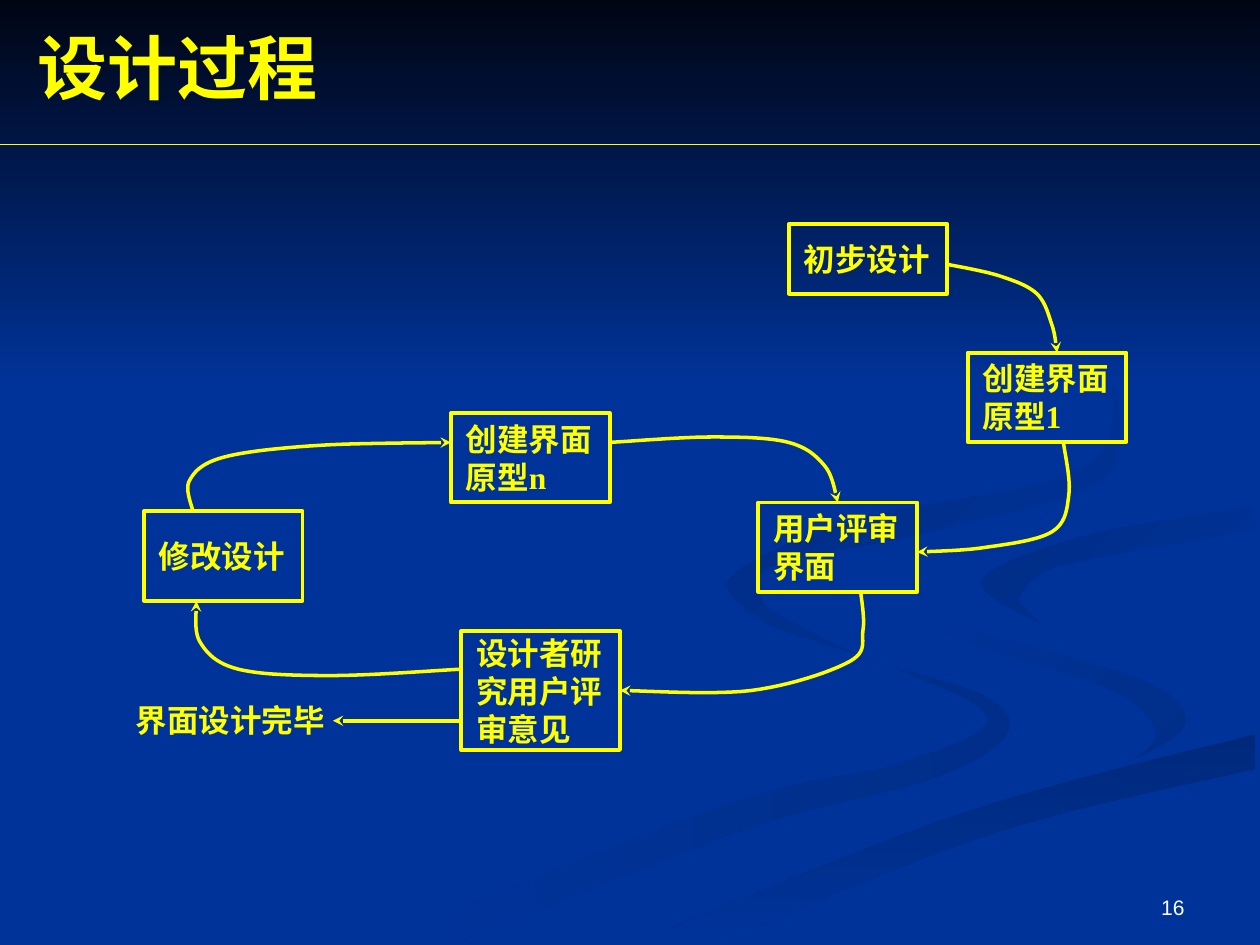
"""Build the slide that shows the interface design process as a cycle."""
from lxml.etree import SubElement
from pptx import Presentation
from pptx.dml.color import RGBColor
from pptx.enum.shapes import MSO_CONNECTOR, MSO_SHAPE
from pptx.enum.text import MSO_ANCHOR, PP_ALIGN
from pptx.oxml.ns import qn
from pptx.util import Cm, Pt

COLORS = {
    "blue": "003399", "night": "000514", "yellow": "FFFF00", "white": "FFFFFF",
    "shade": "002E8A", "deep": "00297C", "bend": "002C85", "sweep": "002B81",
}
RGB = {name: RGBColor.from_string(value) for name, value in COLORS.items()}

SWOOSHES = [
    ("shade", "blue", 180,
     [(7.6, 19), (14.7, 16.2), (18.1, 15.4), (19.9, 14.5), (18.1, 13.5), (15.3, 12.5), (14.6, 11.7)],
     [(14.6, 11.8), (17.3, 13.2), (19.8, 14), (20.3, 14.8), (18.8, 15.7), (15.1, 16.7), (9.2, 19)]),
    ("shade", "blue", 225,
     [(18.4, 11.8), (19.2, 12.8), (22.4, 13.9), (23.3, 14.8), (22.7, 15.4)],
     [(22.7, 15.4), (23.9, 14.6), (23, 13.7), (19.3, 12.6), (18.4, 11.8)]),
    ("deep", "blue", 90,
     [(25.3, 14.8), (19.4, 16.4), (12.8, 19)],
     [(14.5, 19), (20, 16.8), (25.3, 15.5)]),
    ("blue", "bend", 225,
     [(25.3, 10.2), (21.9, 10.8), (19.8, 11.7), (21, 12.6)],
     [(20.5, 12.1), (21.4, 11.4), (25.3, 10.7)]),
    ("blue", "sweep", 225,
     [(22.4, 7.3), (22.3, 9.6), (18.8, 10.7), (15.4, 11.5), (15.8, 12.7)],
     [(15.8, 12.7), (14.7, 11.7), (17.2, 10.5), (21.9, 9.4), (22.4, 7.3)]),
]

STEPS = [
    ("创建界面原型n", 9.09, 8.33, 1.8),
    ("设计者研究用户评审意见", 9.3, 12.73, 2.39),
    ("创建界面原型1", 19.51, 7.11, 1.8),
    ("初步设计", 15.9, 4.52, 1.4),
    ("用户评审界面", 15.29, 10.13, 1.8),
    ("修改设计", 2.9, 10.31, 1.8),
]

CURVES = [
    [(19.1, 5.33), (20.14, 5.56), (20.9, 5.92), (21.21, 6.56), (21.31, 7.11)],
    [(21.44, 8.92), (21.55, 9.96), (21.21, 10.72), (19.84, 11.04), (18.49, 11.13)],
    [(17.35, 11.91), (17.4, 12.69), (17.12, 13.34), (15.14, 13.92), (12.5, 13.92)],
    [(9.3, 13.49), (6.7, 13.62), (4.8, 13.49), (4.03, 12.94), (3.96, 12.12)],
    [(3.89, 10.31), (3.82, 9.69), (4.5, 9.22), (6.42, 8.98), (9.09, 8.92)],
    [(12.29, 8.92), (14.35, 8.81), (15.9, 8.92), (16.64, 9.41), (16.89, 10.13)],
]


def smooth(knots):
    padded = [knots[0], *knots, knots[-1]]
    points = []
    for first in range(len(knots) - 1):
        for t in [step / 12 for step in range(12)]:
            points.append([
                Cm(b + t * (c - a) / 2 + t * t * (2 * a - 5 * b + 4 * c - d) / 2
                   + t ** 3 * (3 * b - a - 3 * c + d) / 2)
                for a, b, c, d in zip(*padded[first:first + 4])])
    return points + [[Cm(value) for value in knots[-1]]]


def write(shape, text, size, color="yellow", font="Times New Roman", bold=True,
          align=PP_ALIGN.LEFT, anchor=MSO_ANCHOR.MIDDLE):
    frame = shape.text_frame
    frame.word_wrap = True
    frame.vertical_anchor = anchor
    para = frame.paragraphs[0]
    para.alignment = align
    span = para.add_run()
    span.text = text
    span.font.size = Pt(size)
    span.font.name = font
    span.font.bold = bold
    span.font.color.rgb = RGB[color]


deck = Presentation()
deck.slide_width, deck.slide_height = Cm(25.4), Cm(19.05)
page = deck.slides.add_slide(deck.slide_layouts[5])
page.background.fill.solid()
page.background.fill.fore_color.rgb = RGB["blue"]
shapes = page.shapes

backdrop = []
for start, end, angle, outward, back in SWOOSHES:
    points = smooth(outward) + smooth(back)
    builder = shapes.build_freeform(*points[0])
    builder.add_line_segments(points[1:], close=True)
    backdrop.append((builder.convert_to_shape(), start, end, angle))
band = shapes.add_shape(MSO_SHAPE.RECTANGLE, 0, 0, deck.slide_width, Cm(7.82))
backdrop.append((band, "night", "blue", 90))
for shape, start, end, angle in backdrop:
    shape.shadow.inherit = False
    shape.line.fill.background()
    shape.fill.gradient()
    shape.fill.gradient_angle = 360 - angle
    for stop, color in zip(shape.fill.gradient_stops, (start, end)):
        stop.color.rgb = RGB[color]

title = shapes.title
title.left, title.top, title.width, title.height = Cm(0.51), Cm(0.36), Cm(22.86), Cm(1.96)
write(title, "设计过程", 40)

rule = shapes.add_connector(MSO_CONNECTOR.STRAIGHT, 0, Cm(2.92), deck.slide_width, Cm(2.92))
outlined = [(rule, 0.75, False)]

for text, left, top, height in STEPS:
    box = shapes.add_shape(MSO_SHAPE.RECTANGLE, Cm(left), Cm(top), Cm(3.2), Cm(height))
    box.fill.background()
    frame = box.text_frame
    frame.margin_left = frame.margin_right = Cm(0.3)
    frame.margin_top = frame.margin_bottom = Cm(0.03)
    write(box, text, 18)
    outlined.append((box, 2.25, False))

for knots in CURVES:
    points = smooth(knots)
    builder = shapes.build_freeform(*points[0])
    builder.add_line_segments(points[1:], close=False)
    curve = builder.convert_to_shape()
    curve.fill.background()
    outlined.append((curve, 2, True))

result = shapes.add_textbox(Cm(2.49), Cm(14), Cm(4.39), Cm(1.02))
write(result, "界面设计完毕", 18, anchor=MSO_ANCHOR.TOP)
exit_arrow = shapes.add_connector(
    MSO_CONNECTOR.STRAIGHT, Cm(9.3), Cm(14.53), Cm(6.71), Cm(14.53))
outlined.append((exit_arrow, 2, True))

for shape, width, arrow in outlined:
    shape.line.color.rgb = RGB["yellow"]
    shape.line.width = Pt(width)
    properties = shape.element.spPr
    if arrow:
        SubElement(properties.find(qn("a:ln")), qn("a:tailEnd"), type="stealth")
    SubElement(properties, qn("a:effectLst"))

number = shapes.add_textbox(Cm(18.21), Cm(17.35), Cm(5.92), Cm(1.32))
write(number, "16", 12, "white", "Arial", False, PP_ALIGN.RIGHT, MSO_ANCHOR.BOTTOM)

shapes.element.append(title.element)
deck.save("out.pptx")
